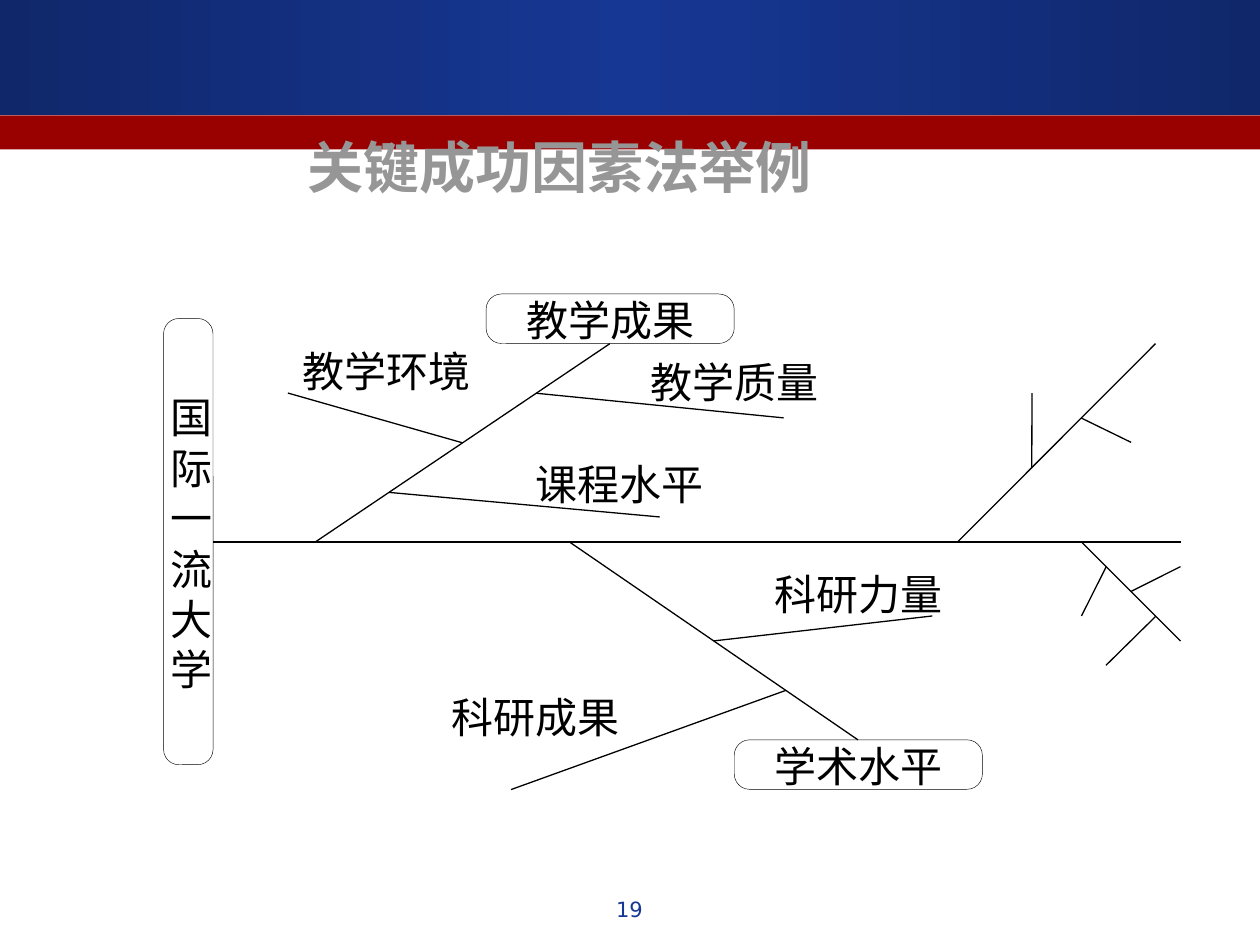
from dataclasses import dataclass

from lxml.etree import SubElement
from pptx import Presentation
from pptx.dml.color import RGBColor
from pptx.enum.shapes import MSO_CONNECTOR, MSO_SHAPE
from pptx.enum.text import MSO_ANCHOR, PP_ALIGN
from pptx.oxml.ns import qn
from pptx.util import Pt


@dataclass(frozen=True)
class Theme:
    """Colours, fonts and type sizes of the slide."""
    navy: str = "10276A"
    blue: str = "163794"
    red: str = "990000"
    grey: str = "969696"
    black: str = "000000"
    white: str = "FFFFFF"
    han: str = "Noto Sans CJK SC"
    latin: str = "DejaVu Sans"
    title: int = 32
    label: int = 24
    number: int = 12


class Fishbone:
    """Draws the parts of a fishbone diagram on one slide."""

    def __init__(self, slide, theme):
        self.shapes = slide.shapes
        self.theme = theme

    def band(self, top, height, *colours):
        """Adds a full-width band, plain or with a mirrored gradient."""
        band = self.shapes.add_shape(MSO_SHAPE.RECTANGLE, 0, Pt(top), Pt(720), Pt(height))
        band.shadow.inherit = False
        band.line.fill.background()
        if len(colours) == 1:
            band.fill.solid()
            band.fill.fore_color.rgb = RGBColor.from_string(colours[0])
            return
        band.fill.gradient()
        band.fill.gradient_angle = 0
        stops = band.fill._fill._gradFill.find(qn("a:gsLst"))
        for stop in list(stops):
            stops.remove(stop)
        for index, colour in enumerate(colours):
            position = round(100000 * index / (len(colours) - 1))
            stop = SubElement(stops, qn("a:gs"), pos=str(position))
            SubElement(stop, qn("a:srgbClr"), val=colour)

    def text(self, words, left, top, width, height, size, colour, font, bold=False):
        """Adds a centred text box."""
        frame = self.shapes.add_textbox(Pt(left), Pt(top), Pt(width), Pt(height)).text_frame
        frame.word_wrap = True
        paragraph = frame.paragraphs[0]
        paragraph.alignment = PP_ALIGN.CENTER
        self.run(paragraph, words, size, colour, font, bold)
        return frame

    def run(self, paragraph, words, size, colour, font, bold=False):
        """Adds one styled run."""
        run = paragraph.add_run()
        run.text = words
        run.font.size = Pt(size)
        run.font.bold = bold
        run.font.name = font
        run.font.color.rgb = RGBColor.from_string(colour)
        SubElement(run._r.get_or_add_rPr(), qn("a:ea"), typeface=font)

    def label(self, words, left, top):
        """Adds a tight diagram label sized by its characters."""
        size = self.theme.label
        frame = self.shapes.add_textbox(Pt(left), Pt(top), Pt(size * len(words)), Pt(28.8)).text_frame
        frame.word_wrap = False
        frame.margin_left = frame.margin_right = frame.margin_top = frame.margin_bottom = 0
        self.run(frame.paragraphs[0], words, size, self.theme.black, self.theme.han)

    def capsule(self, left, top, width, height):
        """Adds a white box with rounded corners."""
        box = self.shapes.add_shape(MSO_SHAPE.ROUNDED_RECTANGLE, Pt(left), Pt(top), Pt(width), Pt(height))
        box.adjustments[0] = 0.31
        box.shadow.inherit = False
        box.fill.solid()
        box.fill.fore_color.rgb = RGBColor.from_string(self.theme.white)
        box.line.color.rgb = RGBColor.from_string(self.theme.black)
        box.line.width = Pt(0.25)

    def line(self, start, end):
        """Adds a thin black line."""
        line = self.shapes.add_connector(MSO_CONNECTOR.STRAIGHT, *map(Pt, (*start, *end)))
        line.line.color.rgb = RGBColor.from_string(self.theme.black)
        line.line.width = Pt(0.75)
        SubElement(line._element.spPr, qn("a:effectLst"))

    def bone(self, root, tip, twigs):
        """Adds a bone and the twigs that leave it at given fractions."""
        self.line(root, tip)
        for fraction, twig_tip in twigs:
            joint = [a + fraction * (b - a) for a, b in zip(root, tip)]
            self.line(joint, twig_tip)


SPINE = 309.7
BONES = [
    ((180.2, SPINE), (348.5, 196.4),
     [(0.25, (377, 295.4)), (0.5, (164.5, 224.6)), (0.75, (447.8, 238.8))]),
    ((325.4, SPINE), (490.3, 422.8), [(0.5, (532.8, 352)), (0.75, (292, 451.2))]),
    ((547.2, SPINE), (660.3, 196.4), [(0.375, (589.7, 224.6)), (0.625, (646.4, 252.8))]),
    ((618, SPINE), (674.6, 366.3),
     [(0.25, (618, 352)), (0.5, (674.6, 323.8)), (0.75, (632, 380.2))]),
]
LABELS = [
    ("教学成果", 301, 168.5), ("学术水平", 442.4, 423.4), ("教学质量", 371.5, 203.8),
    ("课程水平", 306, 262.1), ("教学环境", 172.8, 197.3), ("科研力量", 442.4, 324.7),
    ("科研成果", 258.2, 395.3),
]

theme = Theme()
deck = Presentation()
deck.slide_width, deck.slide_height = Pt(720), Pt(540)
diagram = Fishbone(deck.slides.add_slide(deck.slide_layouts[6]), theme)

diagram.band(0, 65.5, theme.navy, theme.blue, theme.navy)
diagram.band(66, 19.4, theme.red)
heading = diagram.text("关键成功因素法举例", 115.9, 71.3, 408.2, 47.5,
                       theme.title, theme.grey, theme.han, True)
heading.vertical_anchor = MSO_ANCHOR.MIDDLE

diagram.capsule(93.5, 182, 28.3, 255)
for row, character in enumerate("国际一流大学"):
    diagram.label(character, 97.2, 223.9 + 28.8 * row)
diagram.line((121.8, SPINE), (674.6, SPINE))
for left, top in ((277.8, 168), (419.6, 422.8)):
    diagram.capsule(left, top, 141.8, 28.3)
for bone in BONES:
    diagram.bone(*bone)
for label in LABELS:
    diagram.label(*label)

diagram.text("19", 275.8, 509, 167.8, 25.2, theme.number, theme.blue, theme.latin)
deck.save("out.pptx")
